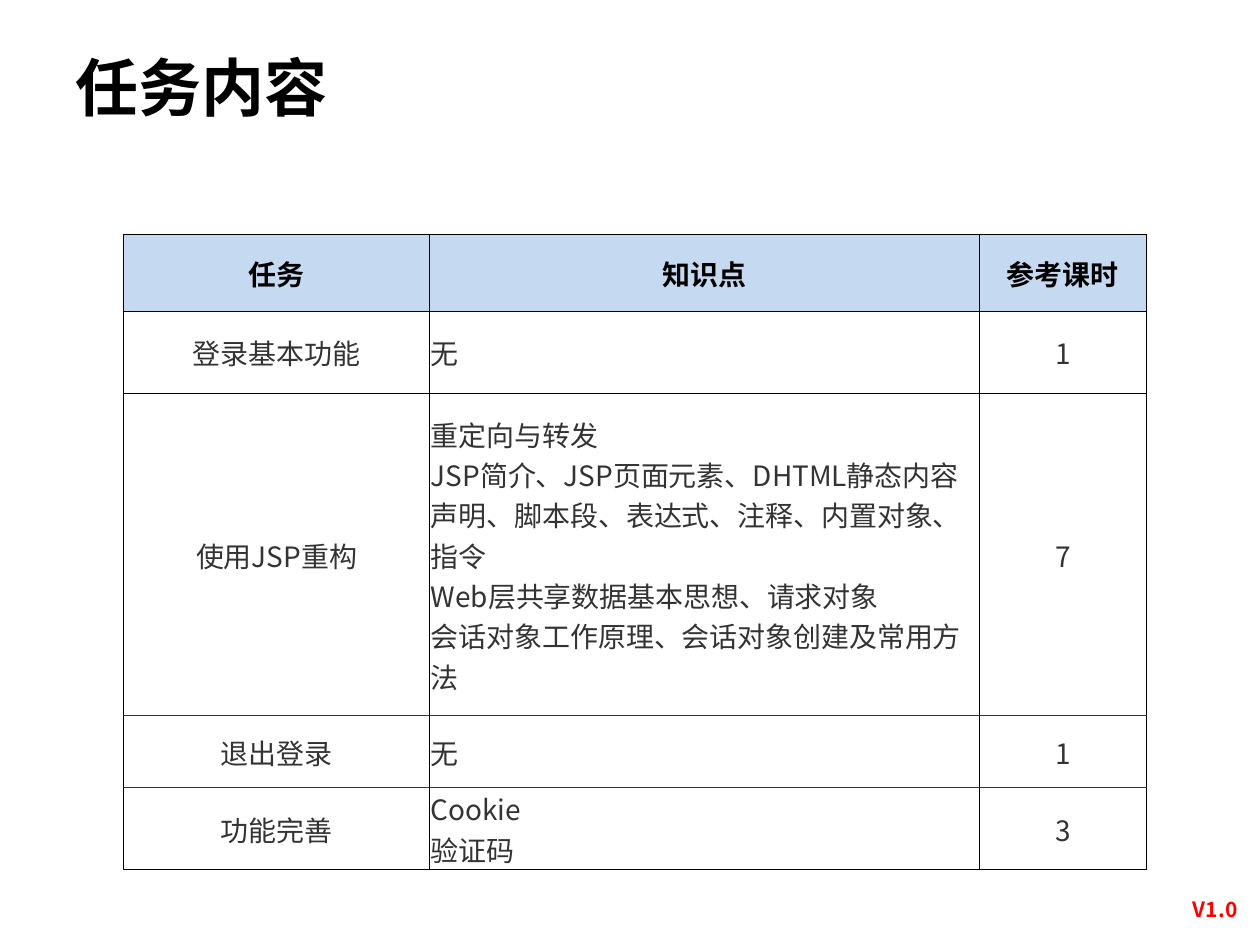
from dataclasses import dataclass

from pptx import Presentation
from pptx.dml.color import RGBColor as Rgb
from pptx.enum.text import MSO_ANCHOR as Anchor, PP_ALIGN as Align
from pptx.oxml.ns import qn
from pptx.util import Inches, Pt
from lxml.etree import SubElement


@dataclass(frozen=True)
class Theme:
    font: str = "Noto Sans CJK SC"
    black: str = "000000"
    body: str = "333333"
    version: str = "FF0000"
    header_fill: str = "C5D9F1"
    row_fill: str = "FFFFFF"
    title_size: int = 36
    table_size: int = 16
    version_size: int = 12
    thin: float = 0.5
    medium: float = 1


THEME = Theme()
COLUMN_WIDTHS = (2.43, 4.36, 1.33)
ROW_HEIGHTS = (0.61, 0.65, 2.56, 0.57, 0.65)
MEDIUM_RULES = (3, 4)
TASKS = (
    ("任务", "知识点", "参考课时"),
    ("登录基本功能", "无", "1"),
    (
        "使用JSP重构",
        "重定向与转发\n"
        "JSP简介、JSP页面元素、DHTML静态内容\n"
        "声明、脚本段、表达式、注释、内置对象、指令\n"
        "Web层共享数据基本思想、请求对象\n"
        "会话对象工作原理、会话对象创建及常用方法",
        "7",
    ),
    ("退出登录", "无", "1"),
    ("功能完善", "Cookie\n验证码", "3"),
)


def write(frame, text, size, color, bold, align):
    frame.text = text
    for paragraph in frame.paragraphs:
        paragraph.alignment = align
        for run in paragraph.runs:
            run.font.size = Pt(size)
            run.font.bold = bold
            run.font.name = THEME.font
            run.font.color.rgb = Rgb.from_string(color)
            SubElement(run.font._element, qn("a:ea"), typeface=THEME.font)


def add_border(cell, side, color, width):
    line = SubElement(cell._tc.get_or_add_tcPr(), qn(f"a:ln{side}"), w=str(Pt(width)))
    fill = SubElement(line, qn("a:solidFill"))
    SubElement(fill, qn("a:srgbClr"), val=color)


def rule_style(rule):
    if rule in MEDIUM_RULES:
        return THEME.body, THEME.medium
    return THEME.black, THEME.thin


def format_cell(cell, text, row, column):
    header = row == 0
    cell.margin_left = cell.margin_right = cell.margin_top = Inches(0.01)
    cell.margin_bottom = 0
    cell.vertical_anchor = Anchor.MIDDLE
    for side in "LR":
        add_border(cell, side, THEME.black, THEME.thin)
    for side, rule in (("T", row), ("B", row + 1)):
        add_border(cell, side, *rule_style(rule))
    cell.fill.solid()
    cell.fill.fore_color.rgb = Rgb.from_string(THEME.header_fill if header else THEME.row_fill)
    align = Align.LEFT if column == 1 and not header else Align.CENTER
    color = THEME.black if header else THEME.body
    write(cell.text_frame, text, THEME.table_size, color, header, align)


def add_task_table(slide):
    tasks = slide.shapes.add_table(
        len(TASKS), len(COLUMN_WIDTHS), Inches(0.98), Inches(1.86),
        Inches(sum(COLUMN_WIDTHS)), Inches(sum(ROW_HEIGHTS)),
    ).table
    for column, width in zip(tasks.columns, COLUMN_WIDTHS):
        column.width = Inches(width)
    for row, height in zip(tasks.rows, ROW_HEIGHTS):
        row.height = Inches(height)
    for row, texts in enumerate(TASKS):
        for column, text in enumerate(texts):
            format_cell(tasks.cell(row, column), text, row, column)


def set_title(slide, text):
    title = slide.shapes.title
    title.left, title.top = Inches(0.5), Inches(0.3)
    title.width, title.height = Inches(7.97), Inches(0.77)
    title.text_frame.vertical_anchor = Anchor.MIDDLE
    write(title.text_frame, text, THEME.title_size, THEME.black, True, Align.LEFT)


def add_version(slide, text):
    version = slide.shapes.add_textbox(Inches(9.25), Inches(7.07), Inches(0.79), Inches(0.3))
    version.text_frame.word_wrap = True
    write(version.text_frame, text, THEME.version_size, THEME.version, True, Align.CENTER)


def main():
    deck = Presentation()
    deck.slide_width, deck.slide_height = Inches(10), Inches(7.5)
    slide = deck.slides.add_slide(deck.slide_layouts[5])
    add_version(slide, "V1.0")
    set_title(slide, "任务内容")
    add_task_table(slide)
    deck.save("out.pptx")


if __name__ == "__main__":
    main()
